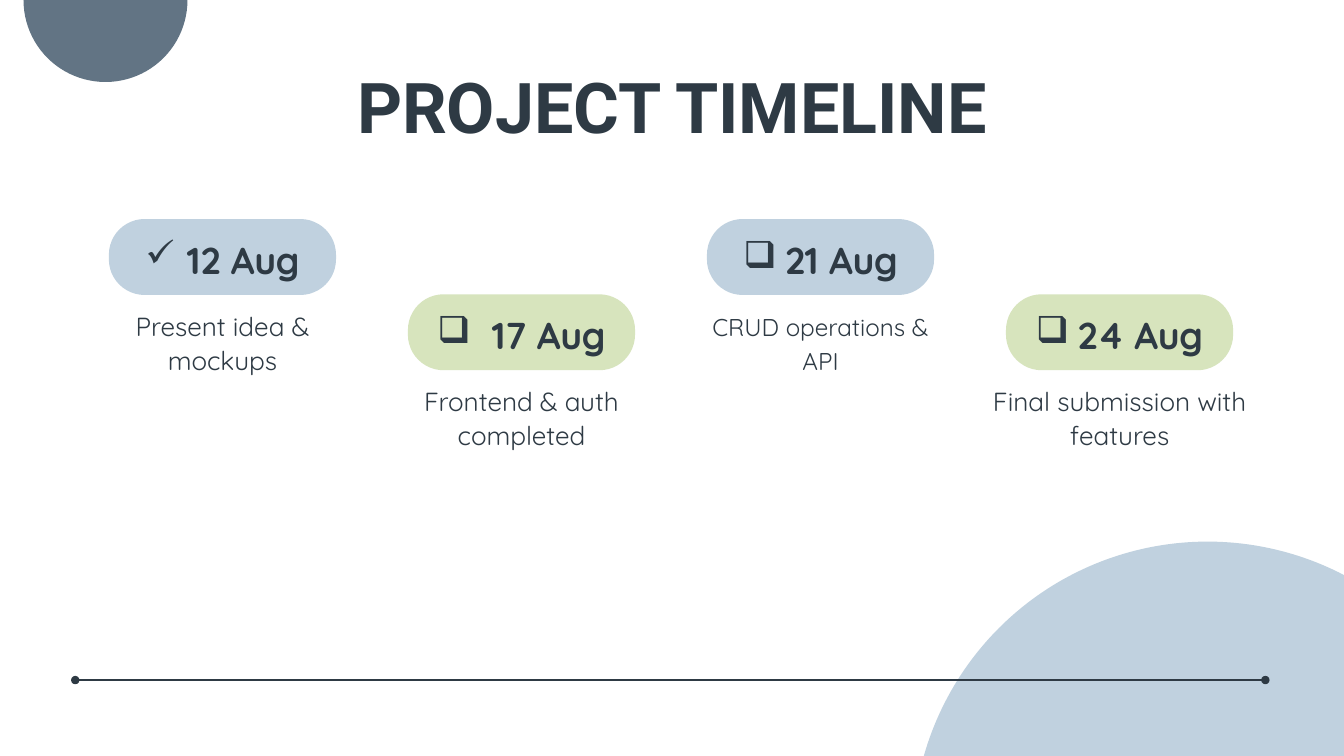
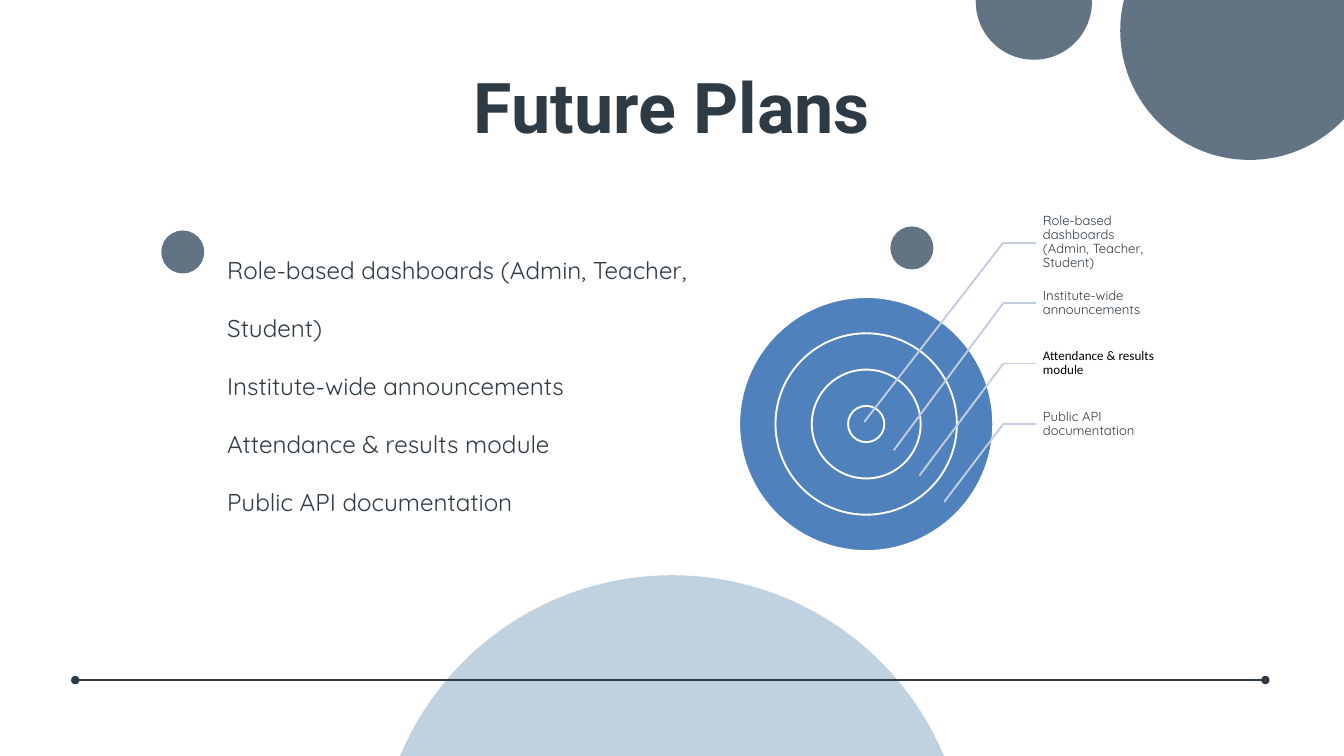
from lxml.etree import SubElement
from pptx import Presentation
from pptx.dml.color import RGBColor
from pptx.enum.shapes import MSO_CONNECTOR, MSO_SHAPE
from pptx.enum.text import MSO_ANCHOR as ANCHOR, MSO_AUTO_SIZE, PP_ALIGN as ALIGN
from pptx.oxml.ns import qn
from pptx.util import Inches, Pt

rgb = RGBColor.from_string
INK, SLATE, SKY, GREEN = "2E3A44", "627484", "C0D1DF", "D7E4BD"
RING, LEADER, WHITE, BLACK = "4F81BD", "C2CDE1", "FFFFFF", "000000"
OVAL, PILL, LINE = MSO_SHAPE.OVAL, MSO_SHAPE.ROUNDED_RECTANGLE, MSO_CONNECTOR.STRAIGHT

prs = Presentation()
prs.slide_width, prs.slide_height = Inches(20), Inches(11.25)
CELL = prs.slide_width // 20  # square grid: 20 columns, 11.25 rows


def draw(sl, kind, box, fill=None, line=None, width=2):
    """Add a shape (left, top, width, height) or a line (x1, y1, x2, y2) in grid cells."""
    add = sl.shapes.add_connector if kind is LINE else sl.shapes.add_shape
    sp = add(kind, *[int(v * CELL) for v in box])
    if fill:
        sp.fill.solid()
        sp.fill.fore_color.rgb = rgb(fill)
    if line:
        sp.line.color.rgb = rgb(line)
        sp.line.width = Pt(width)
    else:
        sp.line.fill.background()
    if kind is LINE:
        SubElement(sp.element.spPr, qn("a:effectLst"))
    else:
        sp.shadow.inherit = False
    return sp


def write(sl, text, box, sp=None, size=28, font="Quicksand", color=INK, bold=False,
          align=ALIGN.CENTER, spacing=1.0, anchor=ANCHOR.TOP, margins=(0, 0, 0, 0),
          bullet=None, indent=0):
    """Fill placeholder sp, or a new text box, with one paragraph per line of text."""
    box = [int(v * CELL) for v in box]
    sp = sp or sl.shapes.add_textbox(*box)
    sp.left, sp.top, sp.width, sp.height = box
    tf = sp.text_frame
    tf.word_wrap, tf.auto_size, tf.vertical_anchor = True, MSO_AUTO_SIZE.NONE, anchor
    tf.margin_left, tf.margin_top, tf.margin_right, tf.margin_bottom = [
        int(m * CELL) for m in margins]
    tf.text = text
    for p in tf.paragraphs:
        pPr = p._p.get_or_add_pPr()
        pPr.set("marL", str(int(indent * CELL)))
        pPr.set("indent", str(int(-indent * CELL)))
        if bullet:
            SubElement(pPr, qn("a:buChar"), char=bullet)
        else:
            SubElement(pPr, qn("a:buNone"))
        p.alignment, p.line_spacing = align, spacing
        p.space_before = p.space_after = Pt(0)
        for r in p.runs:
            r.font.size, r.font.name, r.font.bold = Pt(size), font, bold
            r.font.color.rgb = rgb(color)
    return sp


# What both slides share: circles behind, the footer line and the title
pages = [
    ("PROJECT TIMELINE", 5, [(13.58, 8.06, 8.78, SKY), (0.35, -1.22, 2.44, SLATE)]),
    ("Future Plans", 1, [(16.67, -1.47, 3.85, SLATE), (5.61, 8.56, 8.78, SKY),
                         (14.52, -0.84, 1.73, SLATE), (2.4, 3.43, 0.64, SLATE),
                         (13.25, 3.37, 0.64, SLATE)]),
]
for title, layout, circles in pages:
    sl = prs.slides.add_slide(prs.slide_layouts[layout])
    for x, y, d, color in circles:
        draw(sl, OVAL, (x, y, d, d), fill=color)
    footer = draw(sl, LINE, (1.12, 10.12, 18.83, 10.12), line=INK, width=3)
    ln = footer.element.spPr.find(qn("a:ln"))
    for end in ("a:headEnd", "a:tailEnd"):
        SubElement(ln, qn(end), type="oval")
    write(sl, title, (3.85, 0.74, 12.3, 1.64), sl.shapes.title, size=75, font="Roboto",
          bold=True, spacing=Pt(105))
timeline, future = prs.slides

# Project timeline: four pills, alternating between two rows
milestones = [
    ("✓", "12 Aug", "Present idea & mockups", 28, 0.62, 2.7),
    ("❑", "17 Aug", "Frontend & auth completed", 28, 0.81, 2.7),
    ("❑", "21 Aug", "CRUD operations & API", 26, 0.62, 2.7),
    ("❑", "24 Aug", "Final submission with features", 28, 0.62, 2.56),
]
PILL_W, PILL_H, CAPTION_W = 3.38, 1.13, 3.81
for i, (mark, date, caption, size, indent, date_w) in enumerate(milestones):
    mid, top = 3.31 + i * 4.45, 3.26 + i % 2 * 1.12
    pill = draw(timeline, PILL, (mid - PILL_W / 2, top, PILL_W, PILL_H),
                fill=(SKY, GREEN)[i % 2])
    pill.adjustments[0] = 0.47
    write(timeline, caption, (mid - CAPTION_W / 2, top + 1.32, CAPTION_W, 0.99), size=size,
          spacing=Pt(36.4))
    write(timeline, date, (mid - date_w / 2, top + 0.16, date_w, 0.76), size=40, bold=True,
          spacing=Pt(56), bullet=mark, indent=indent)

# Future plans: list on the left, target with labels on the right
plans = ["Role-based dashboards (Admin, Teacher, Student)", "Institute-wide announcements",
         "Attendance & results module", "Public API documentation"]
write(future, "\n".join(plans), (3.38, 3.36, 8.24, 3.5), future.placeholders[1], size=26,
      align=ALIGN.LEFT, spacing=2.0)

for i in range(len(plans)):
    d = 3.78 - i * 1.08
    draw(future, OVAL, (12.89 - d / 2, 6.31 - d / 2, d, d), fill=RING, line=WHITE)

ELBOW_X, LABEL_X, LABEL_H = 14.93, 15.41, 0.9
tips = [(12.86, 6.28), (13.3, 6.7), (13.68, 7.08), (14.05, 7.47)]
styles = [{}, {}, {"font": "Calibri", "color": BLACK}, {}]
for i, (plan, tip, style) in enumerate(zip(plans, tips, styles)):
    top = 3.16 + i * LABEL_H
    y = top + LABEL_H / 2
    label = write(future, plan, (LABEL_X, top, 1.89, LABEL_H), size=14, align=ALIGN.LEFT,
                  spacing=0.9, anchor=ANCHOR.MIDDLE, margins=(0.11, 0.02, 0.02, 0.02), **style)
    draw(future, LINE, (ELBOW_X, y, LABEL_X, y), line=LEADER).end_connect(label, 1)
    draw(future, LINE, (ELBOW_X, y, *tip), line=LEADER)

prs.save("out.pptx")
